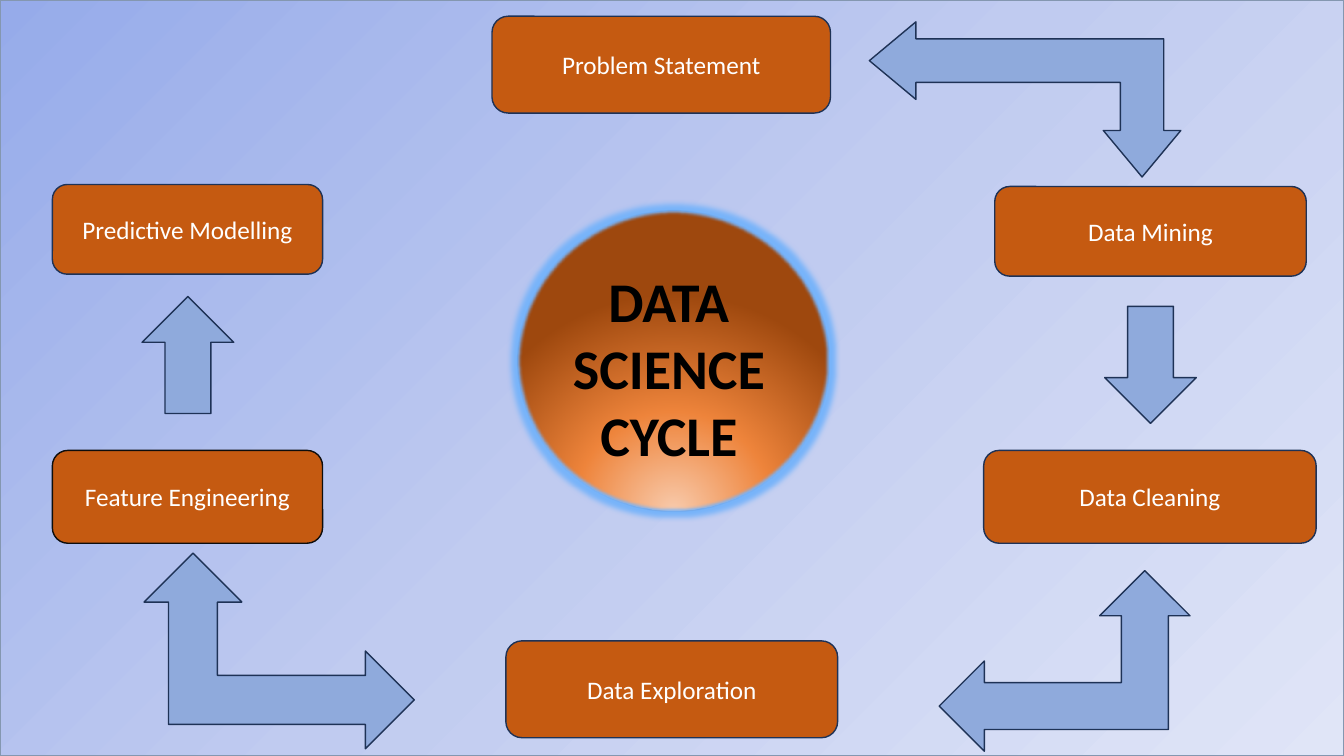
from pptx import Presentation
from pptx.dml.color import RGBColor
from pptx.enum.shapes import MSO_SHAPE as Preset
from pptx.enum.text import MSO_ANCHOR as Anchor, MSO_AUTO_SIZE as AutoSize, PP_ALIGN as Align
from pptx.oxml import parse_xml
from pptx.oxml.ns import nsdecls, qn
from pptx.util import Cm, Pt

WHITE = RGBColor(0xFF, 0xFF, 0xFF)
BLACK = RGBColor(0x00, 0x00, 0x00)
ORANGE = RGBColor(0xC5, 0x5A, 0x11)
BLUE = RGBColor(0x8F, 0xAA, 0xDC)
NAVY = RGBColor(0x1E, 0x32, 0x56)
SLATE = RGBColor(0x84, 0x97, 0xB0)
NEAR_BLACK = RGBColor(0x0D, 0x0D, 0x0D)
GLOW = RGBColor(0x78, 0xB4, 0xFA)
SKY = [(0, RGBColor(0x96, 0xAB, 0xEA)), (50, RGBColor(0xC0, 0xCB, 0xF0)),
       (100, RGBColor(0xE0, 0xE5, 0xF7))]
EMBER = [(0, RGBColor(0xF8, 0xCB, 0xAD)), (46, RGBColor(0xEE, 0x84, 0x3B)),
         (100, RGBColor(0x9E, 0x48, 0x0E))]
DIAGONAL = '<a:lin ang="2700000" scaled="0"/>'
FROM_BELOW = ('<a:path path="circle"><a:fillToRect l="50000" t="130000" '
              'r="50000" b="-30000"/></a:path>')
WIDTH, HEIGHT = 33.87, 19.05


def drawing(tag, content, attributes=""):
    return parse_xml(f'<a:{tag} {nsdecls("a")} {attributes}>{content}</a:{tag}>')


def color_xml(color, inner=""):
    return f'<a:srgbClr val="{color}">{inner}</a:srgbClr>'


class CycleSlide:
    """Draws the elements of a cycle diagram in one shared style."""

    font = "Calibri"

    def __init__(self, deck):
        self.slide = deck.slides.add_slide(deck.slide_layouts[5])

    def outline(self, preset, box, line=NAVY):
        shape = self.slide.shapes.add_shape(preset, *map(Cm, box))
        shape.shadow.inherit = False
        shape.line.color.rgb = line
        shape.line.width = Pt(1)
        return shape

    def gradient(self, preset, box, stops, direction, line=NAVY):
        shape = self.outline(preset, box, line)
        shape.fill.gradient()
        properties = shape._element.spPr
        stop_list = "".join(f'<a:gs pos="{position * 1000}">{color_xml(color)}</a:gs>'
                            for position, color in stops)
        properties.replace(properties.find(qn("a:gradFill")),
                           drawing("gradFill", f"<a:gsLst>{stop_list}</a:gsLst>{direction}"))
        return shape

    def hub(self, box):
        circle = self.gradient(Preset.FLOWCHART_CONNECTOR, box, EMBER, FROM_BELOW)
        effects = circle._element.spPr.find(qn("a:effectLst"))
        effects.append(drawing("glow", color_xml(GLOW), f'rad="{Pt(8)}"'))
        effects.append(drawing("softEdge", "", f'rad="{Pt(2.5)}"'))

    def label(self, frame, text, size, color, bold=False):
        frame.text = text
        frame.word_wrap = True
        paragraph = frame.paragraphs[0]
        paragraph.alignment = Align.CENTER
        run = paragraph.runs[0]
        run.font.size = Pt(size)
        run.font.bold = bold
        run.font.color.rgb = color
        run.font.name = self.font
        return run._r.get_or_add_rPr()

    def step(self, text, box, line=NAVY):
        shape = self.outline(Preset.ROUNDED_RECTANGLE, box, line)
        shape.fill.solid()
        shape.fill.fore_color.rgb = ORANGE
        shape.text_frame.vertical_anchor = Anchor.MIDDLE
        run_style = self.label(shape.text_frame, text, 18, WHITE)
        shade = color_xml(BLACK, '<a:alpha val="43000"/>')
        run_style.insert(1, drawing(
            "effectLst", f'<a:outerShdw blurRad="{Pt(3)}" dist="{Pt(3)}" '
            f'dir="2700000" algn="tl">{shade}</a:outerShdw>'))

    def arrow(self, preset, box, rotation=0, adjustments=()):
        shape = self.outline(preset, box)
        shape.fill.solid()
        shape.fill.fore_color.rgb = BLUE
        shape.rotation = rotation
        for index, value in enumerate(adjustments):
            shape.adjustments[index] = value

    def title(self, text, box):
        title = self.slide.shapes.title
        title.left, title.top, title.width, title.height = map(Cm, box)
        frame = title.text_frame
        frame.auto_size = AutoSize.NONE
        frame.vertical_anchor = Anchor.TOP
        frame.margin_left, frame.margin_right = Cm(0.1), Cm(0.25)
        frame.margin_top = frame.margin_bottom = Cm(0.13)
        run_style = self.label(frame, text, 40, BLACK, bold=True)
        run_style.insert(0, drawing("ln", f"<a:solidFill>{color_xml(WHITE)}</a:solidFill>",
                                    f'w="{Pt(0.75)}"'))
        self.slide.shapes._spTree.append(title._element)


def main():
    deck = Presentation()
    deck.slide_width, deck.slide_height = Cm(WIDTH), Cm(HEIGHT)
    cycle = CycleSlide(deck)
    cycle.gradient(Preset.RECTANGLE, (0, 0, WIDTH, HEIGHT), SKY, DIAGONAL, SLATE)

    cycle.step("Predictive Modelling", (1.32, 4.65, 6.81, 2.26))
    cycle.step("Feature Engineering", (1.32, 11.35, 6.81, 2.34), NEAR_BLACK)
    cycle.step("Data Exploration", (12.75, 16.15, 8.36, 2.44))
    cycle.step("Problem Statement", (12.4, 0.41, 8.53, 2.44))
    cycle.step("Data Mining", (25.07, 4.7, 7.85, 2.26))
    cycle.step("Data Cleaning", (24.79, 11.35, 8.38, 2.34))

    cycle.hub((13.03, 5.31, 7.85, 7.57))
    cycle.title("DATA SCIENCE CYCLE", (13.74, 6.58, 6.38, 4.78))

    cycle.arrow(Preset.DOWN_ARROW, (3.58, 7.47, 2.31, 2.95), 180)
    cycle.arrow(Preset.LEFT_UP_ARROW, (4.57, 13, 4.93, 6.81), 90)
    cycle.arrow(Preset.LEFT_UP_ARROW, (23.67, 14.38, 6.32, 4.55), 0, (0.26, 0.25, 0.25))
    cycle.arrow(Preset.LEFT_UP_ARROW, (23.88, -1.42, 3.91, 7.85), 270, (0.28, 0.25, 0.3))
    cycle.arrow(Preset.DOWN_ARROW, (27.84, 7.72, 2.31, 2.95))
    deck.save("out.pptx")


if __name__ == "__main__":
    main()
